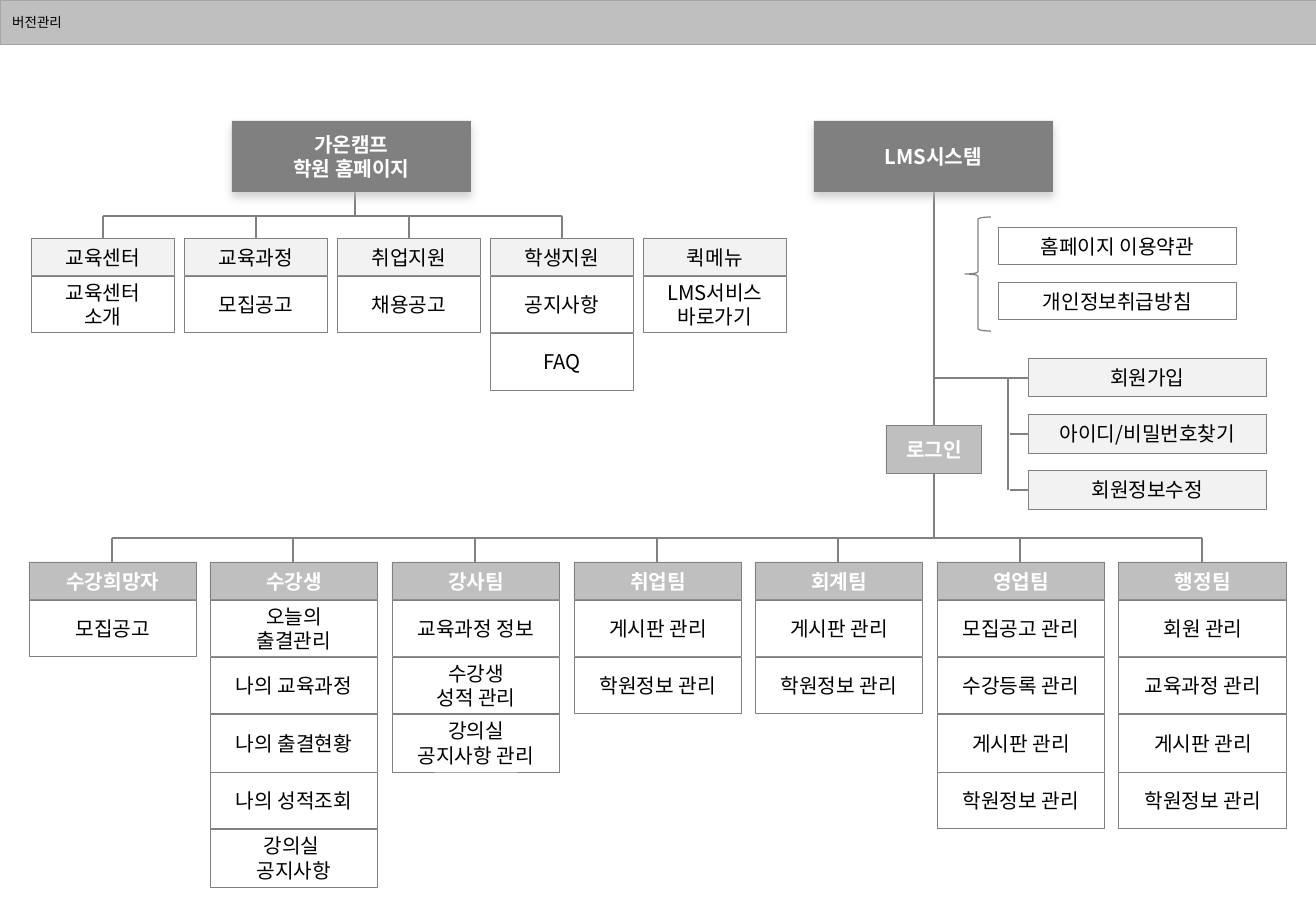
from lxml import etree
from pptx import Presentation, util as u
from pptx.dml.color import RGBColor
from pptx.enum import shapes, text
from pptx.oxml.ns import qn

PX = 7526
FONT = "Noto Sans CJK KR"
COLORS = {"line": "808080", "root": "808080", "band": "BFBFBF", "pale": "F2F2F2",
          "white": "FFFFFF", "black": "000000", "edge": "A6A6A6", "shadow": "BFBFBF"}

SECTION = "버전관리"
HOMEPAGE = ["가온캠프", "학원 홈페이지"]
LMS = ["LMS시스템"]
LOGIN = ["로그인"]
MENUS = [
    ("교육센터", [["교육센터", "소개"]]),
    ("교육과정", [["모집공고"]]),
    ("취업지원", [["채용공고"]]),
    ("학생지원", [["공지사항"], ["FAQ"]]),
    ("퀵메뉴", [["LMS서비스", "바로가기"]]),
]
TEAMS = [
    ("수강희망자", [["모집공고"]]),
    ("수강생", [["오늘의", "출결관리"], ["나의 교육과정"], ["나의 출결현황"],
             ["나의 성적조회"], ["강의실 ", "공지사항"]]),
    ("강사팀", [["교육과정 정보"], ["수강생", "성적 관리"], ["강의실", "공지사항 관리"]]),
    ("취업팀", [["게시판 관리"], ["학원정보 관리"]]),
    ("회계팀", [["게시판 관리"], ["학원정보 관리"]]),
    ("영업팀", [["모집공고 관리"], ["수강등록 관리"], ["게시판 관리"], ["학원정보 관리"]]),
    ("행정팀", [["회원 관리"], ["교육과정 관리"], ["게시판 관리"], ["학원정보 관리"]]),
]
POLICIES = ["홈페이지 이용약관", "개인정보취급방침"]
ACCOUNT = ["회원가입", "아이디/비밀번호찾기", "회원정보수정"]

WIDTH, HEIGHT = 1316, 911
BAR_H = 44
ROOT_W, ROOT_H, ROOT_TOP = 239, 71, 121
HEAD_H = 38
FIVE_ROWS = 287
MENU_LEFT, MENU_TOP, MENU_W, MENU_PITCH, MENU_BUS = 31, 238, 144, 153, 216
TEAM_LEFT, TEAM_TOP, TEAM_W, TEAM_SPAN, TEAM_BUS = 29, 562, 168, 1090, 538
TRUNK_X = 934
ACCOUNT_LEFT, ACCOUNT_TOP, ACCOUNT_PITCH, ACCOUNT_BUS = 1028, 358, 56, 1008
POLICY_LEFT, POLICY_TOP, POLICY_PITCH = 998, 227, 55

deck = Presentation()
deck.slide_width, deck.slide_height = WIDTH * PX, HEIGHT * PX
slide = deck.slides.add_slide(deck.slide_layouts[6])


def rgb(name):
    return RGBColor.from_string(COLORS[name])


def write(paragraph, words, size, color, bold=False):
    run = paragraph.add_run()
    run.text = words
    run.font.size = u.Pt(size)
    run.font.bold = bold
    run.font.name = FONT
    run.font.color.rgb = rgb(color)
    east_asian = etree.SubElement(run.font._element, qn("a:ea"))
    east_asian.set("typeface", FONT)


def box(lines, left, top, width, height, fill, color="black", bold=False, outlined=True):
    shape = slide.shapes.add_shape(shapes.MSO_SHAPE.RECTANGLE,
                                   left * PX, top * PX, width * PX, height * PX)
    shape.shadow.inherit = False
    shape.fill.solid()
    shape.fill.fore_color.rgb = rgb(fill)
    if outlined:
        shape.line.color.rgb = rgb("line")
        shape.line.width = u.Pt(0.5)
    else:
        shape.line.fill.background()
    frame = shape.text_frame
    frame.word_wrap = True
    frame.vertical_anchor = text.MSO_ANCHOR.MIDDLE
    for i, words in enumerate(lines):
        paragraph = frame.add_paragraph() if i else frame.paragraphs[0]
        paragraph.alignment = text.PP_ALIGN.CENTER
        write(paragraph, words, 12, color, bold)
    return shape


def root(lines, left):
    shape = box(lines, left, ROOT_TOP, ROOT_W, ROOT_H, "root", "white", True, False)
    effects = shape._element.spPr.find(qn("a:effectLst"))
    shadow = etree.SubElement(effects, qn("a:outerShdw"), blurRad=str(u.Pt(5)),
                              dist=str(u.Pt(3)), dir="5400000", algn="t", rotWithShape="0")
    tint = etree.SubElement(shadow, qn("a:srgbClr"), val=COLORS["shadow"])
    etree.SubElement(tint, qn("a:alpha"), val="70000")


def line(x1, y1, x2, y2):
    connector = slide.shapes.add_connector(shapes.MSO_CONNECTOR.STRAIGHT,
                                           x1 * PX, y1 * PX, x2 * PX, y2 * PX)
    connector.line.color.rgb = rgb("line")
    connector.line.width = u.Pt(0.75)
    etree.SubElement(connector._element.spPr, qn("a:effectLst"))


def bus(centers, y, bottom):
    line(centers[0], y, centers[-1], y)
    for x in centers:
        line(x, y, x, bottom)


def stack(column, left, top, width, fill, color, bold):
    heading, items = column
    box([heading], left, top, width, HEAD_H, fill, color, bold)
    for i, lines in enumerate(items):
        start, end = (FIVE_ROWS * k // 5 for k in (i, i + 1))
        box(lines, left, top + HEAD_H + start, width, end - start, "white")


def section_bar():
    table = slide.shapes.add_table(1, 1, 0, 0, WIDTH * PX, BAR_H * PX).table
    cell = table.cell(0, 0)
    cell.vertical_anchor = text.MSO_ANCHOR.MIDDLE
    write(cell.text_frame.paragraphs[0], SECTION, 8, "black")
    properties = cell._tc.get_or_add_tcPr()
    for side in ("a:lnL", "a:lnR", "a:lnT", "a:lnB"):
        border = etree.SubElement(properties, qn(side), w=str(u.Pt(0.25)))
        paint = etree.SubElement(border, qn("a:solidFill"))
        etree.SubElement(paint, qn("a:srgbClr"), val=COLORS["edge"])
    cell.fill.solid()
    cell.fill.fore_color.rgb = rgb("band")


section_bar()

menu_lefts = [MENU_LEFT + MENU_PITCH * i for i in range(len(MENUS))]
team_lefts = [TEAM_LEFT + TEAM_SPAN * i // (len(TEAMS) - 1) for i in range(len(TEAMS))]
account_tops = [ACCOUNT_TOP + ACCOUNT_PITCH * i for i in range(len(ACCOUNT))]
account_middles = [top + 20 for top in account_tops]

bus([left + MENU_W // 2 for left in menu_lefts[:-1]], MENU_BUS, MENU_TOP)
line(355, ROOT_TOP + ROOT_H, 355, MENU_BUS)
bus([left + TEAM_W // 2 - 1 for left in team_lefts], TEAM_BUS, TEAM_TOP)
line(TRUNK_X, ROOT_TOP + ROOT_H, TRUNK_X, TEAM_BUS)
line(TRUNK_X, account_middles[0], ACCOUNT_LEFT, account_middles[0])
line(ACCOUNT_BUS, account_middles[0], ACCOUNT_BUS, account_middles[-1])
for middle in account_middles[1:]:
    line(ACCOUNT_BUS + 2, middle, ACCOUNT_LEFT, middle)

root(HOMEPAGE, 232)
root(LMS, 814)
box(LOGIN, 886, 425, 96, 48, "band", "white", True)
for menu, left in zip(MENUS, menu_lefts):
    stack(menu, left, MENU_TOP, MENU_W, "pale", "black", False)
for team, left in zip(TEAMS, team_lefts):
    stack(team, left, TEAM_TOP, TEAM_W, "band", "white", True)
for name, top in zip(ACCOUNT, account_tops):
    box([name], ACCOUNT_LEFT, top, ROOT_W, 39, "pale")
for i, name in enumerate(POLICIES):
    box([name], POLICY_LEFT, POLICY_TOP + POLICY_PITCH * i, ROOT_W, HEAD_H, "white")

brace = slide.shapes.add_shape(shapes.MSO_SHAPE.LEFT_BRACE, 965 * PX, 217 * PX, 26 * PX, 114 * PX)
brace.shadow.inherit = False
brace.fill.background()
brace.line.color.rgb = rgb("line")
brace.line.width = u.Pt(0.75)

deck.save("out.pptx")
